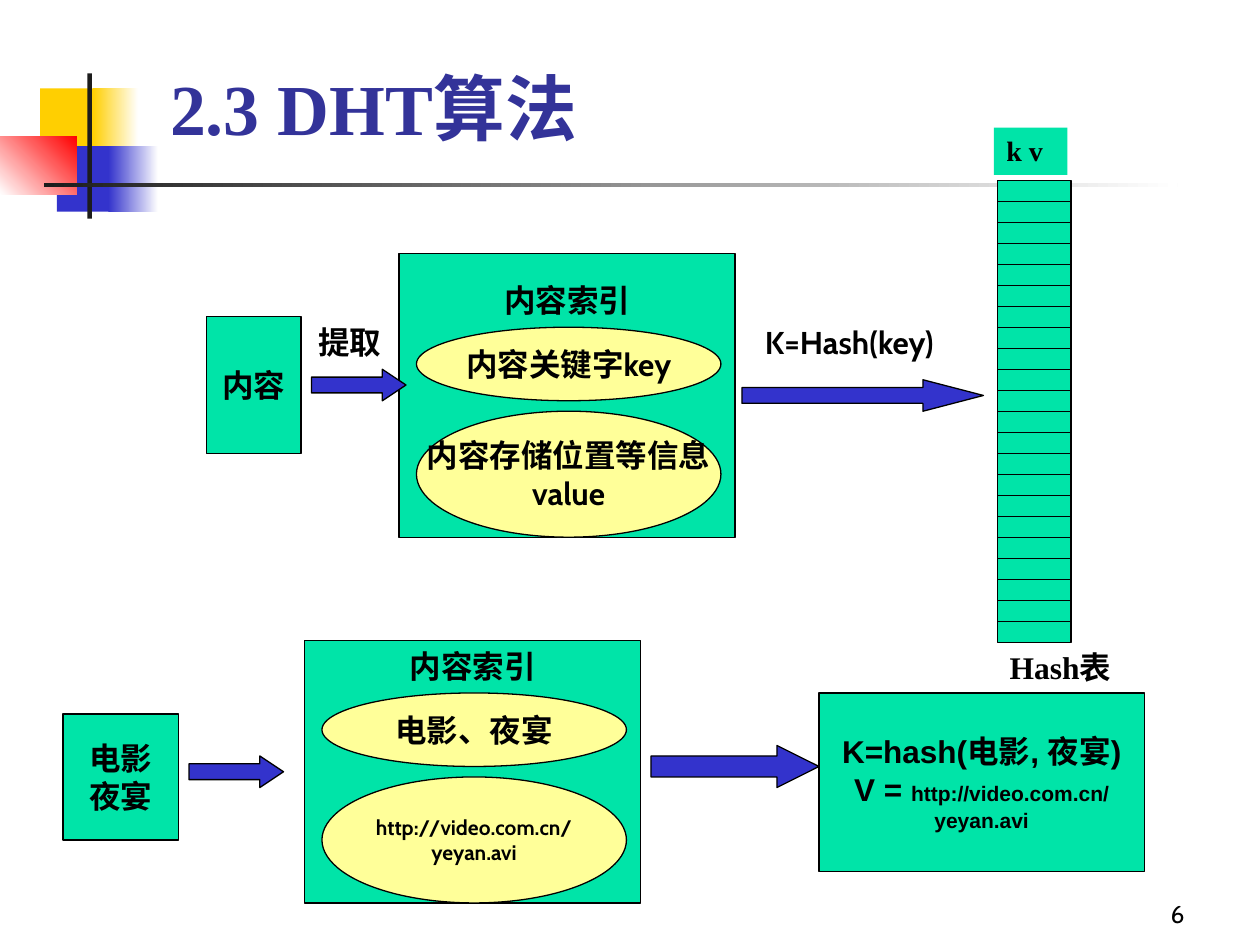
"""Build the slide on the DHT algorithm with its two hash flows."""
from dataclasses import dataclass

from lxml.etree import SubElement
from pptx import Presentation
from pptx.dml.color import RGBColor
from pptx.enum.shapes import MSO_CONNECTOR, MSO_SHAPE
from pptx.enum.text import MSO_ANCHOR, MSO_AUTO_SIZE, PP_ALIGN
from pptx.oxml.ns import qn
from pptx.util import Pt


@dataclass(frozen=True)
class Theme:
    green: str = "00E4A8"
    cream: str = "FFFF99"
    blue: str = "3333CC"
    gold: str = "FFCF01"
    red: str = "FF0000"
    white: str = "FFFFFF"
    dark: str = "1C1C1C"
    black: str = "000000"
    navy: str = "333399"
    head: int = 41
    main: int = 18
    pair: int = 16
    page: int = 14
    small: int = 12
    edge: float = 0.75
    sans: str = "Cabin"
    serif: str = "Times New Roman"
    plain: str = "Arial"


theme = Theme()


def draw(home, kind, box, fill, edge=True, turn=0):
    shape = home.add_shape(kind, *map(Pt, box))
    shape.shadow.inherit = False
    if isinstance(fill, tuple):
        shape.fill.gradient()
        shape.fill.gradient_angle = turn
        for stop, tone in zip(shape.fill.gradient_stops, fill):
            stop.color.rgb = RGBColor.from_string(tone)
    else:
        shape.fill.solid()
        shape.fill.fore_color.rgb = RGBColor.from_string(fill)
    if edge:
        shape.line.color.rgb = RGBColor.from_string(theme.black)
        shape.line.width = Pt(theme.edge)
    else:
        shape.line.fill.background()
    return shape


def write(shape, lines, font=theme.sans, tone=theme.black, bold=True,
          side=PP_ALIGN.CENTER, hold=MSO_ANCHOR.MIDDLE, wrap=False):
    frame = shape.text_frame
    frame.auto_size = MSO_AUTO_SIZE.NONE
    frame.word_wrap = wrap
    frame.vertical_anchor = hold
    for spot, line in enumerate(lines):
        para = frame.add_paragraph() if spot else frame.paragraphs[0]
        para.alignment = side
        for text, size in line:
            run = para.add_run()
            run.text = text
            run.font.name = font
            run.font.size = Pt(size)
            run.font.bold = bold
            run.font.color.rgb = RGBColor.from_string(tone)


deck = Presentation()
deck.slide_width, deck.slide_height = Pt(720), Pt(540)
slide = deck.slides.add_slide(deck.slide_layouts[5])
shapes = slide.shapes
rect = MSO_SHAPE.RECTANGLE

for box, fill, turn in (
    ((23, 50.5, 34.5, 37.5), theme.gold, 0),
    ((53, 50.5, 26, 37.5), (theme.gold, theme.white), 0),
    ((32.5, 83.5, 33, 37.5), theme.blue, 0),
    ((62, 83.5, 28.5, 37.5), (theme.blue, theme.white), 0),
    ((0, 78, 44, 33), (theme.white, theme.red), 45),
    ((50, 42, 2.5, 83), theme.dark, 0),
    ((25, 104.5, 648, 2.5), (theme.dark, theme.white), 0),
):
    draw(shapes, rect, box, fill, False, turn)

title = shapes.title
title.left, title.top, title.width, title.height = map(Pt, (90, 33, 613.5, 56))
write(title, [[("2.3 DHT算法", theme.head)]], theme.serif, theme.navy,
      side=PP_ALIGN.LEFT, hold=MSO_ANCHOR.BOTTOM, wrap=True)

page = shapes.add_textbox(*map(Pt, (534, 498, 150, 36)))
write(page, [[("6", theme.page)]], bold=False,
      side=PP_ALIGN.RIGHT, hold=MSO_ANCHOR.BOTTOM, wrap=True)

labels = []
for left, base, tall, key, value in (
    (228, 307, 162, "内容关键字key",
     [[("内容存储位置等信息", theme.main)], [("value", theme.main)]]),
    (174, 516, 150, "电影、夜宴",
     [[("http://video.com.cn/", theme.small)], [("yeyan.avi", theme.small)]]),
):
    draw(shapes, rect, (left, base - tall, 192, tall), theme.green)
    for drop, high, lines in ((120, 42, [[(key, theme.main)]]), (72, 72, value)):
        oval = draw(shapes, MSO_SHAPE.OVAL, (left + 10, base - drop, 174, high), theme.cream)
        write(oval, lines)
    labels.append(((left + 30, base - 150, 132, 29), "内容索引", theme.sans, PP_ALIGN.CENTER))

labels += [
    ((430, 181, 134, 29), "K=Hash(key)", theme.sans, PP_ALIGN.LEFT),
    ((172, 181, 56, 29), "提取", theme.sans, PP_ALIGN.CENTER),
    ((522, 367, 168, 29), "Hash表", theme.serif, PP_ALIGN.CENTER),
]
for box, text, font, side in labels:
    label = shapes.add_textbox(*map(Pt, box))
    write(label, [[(text, theme.main)]], font, side=side, hold=MSO_ANCHOR.TOP, wrap=True)

for box, lines, font in (
    ((118, 181, 54, 78), [[("内容", theme.main)]], theme.sans),
    ((36, 408, 66, 72), [[("电影", theme.main)], [("夜宴", theme.main)]], theme.plain),
    ((468, 396, 186, 102),
     [[("K=hash(电影, 夜宴)", theme.main)],
      [("V = ", theme.main), ("http://video.com.cn/", theme.small)],
      [("yeyan.avi", theme.small)]], theme.plain),
):
    write(draw(shapes, rect, box, theme.green), lines, font)

for box, point in (
    ((178, 211, 54, 18), 0.75),
    ((424, 217, 138, 18), 1.92),
    ((108, 432, 54, 18), 0.75),
    ((372, 426, 96, 24), 1),
):
    arrow = draw(shapes, MSO_SHAPE.RIGHT_ARROW, box, theme.blue)
    arrow.adjustments[0] = 0.5
    arrow.adjustments[1] = point

left, top, wide, step, rows = 570, 103, 42, 12, 22
table = shapes.add_group_shape().shapes
bar = draw(table, rect, (left, top, wide, step * rows), theme.green)
for row in range(1, rows):
    high = top + row * step
    rule = table.add_connector(MSO_CONNECTOR.STRAIGHT,
                               *map(Pt, (left, high, left + wide, high)))
    rule.line.color.rgb = RGBColor.from_string(theme.black)
    rule.line.width = Pt(theme.edge)
    SubElement(rule._element.spPr, qn("a:effectLst"))
    if row * 2 == rows:
        rule.begin_connect(bar, 1)
        rule.end_connect(bar, 3)

pair = draw(shapes, rect, (568, 73, 42, 27), theme.green, False)
write(pair, [[("k v", theme.pair)]], theme.serif,
      side=PP_ALIGN.LEFT, hold=MSO_ANCHOR.TOP, wrap=True)

deck.save("out.pptx")
